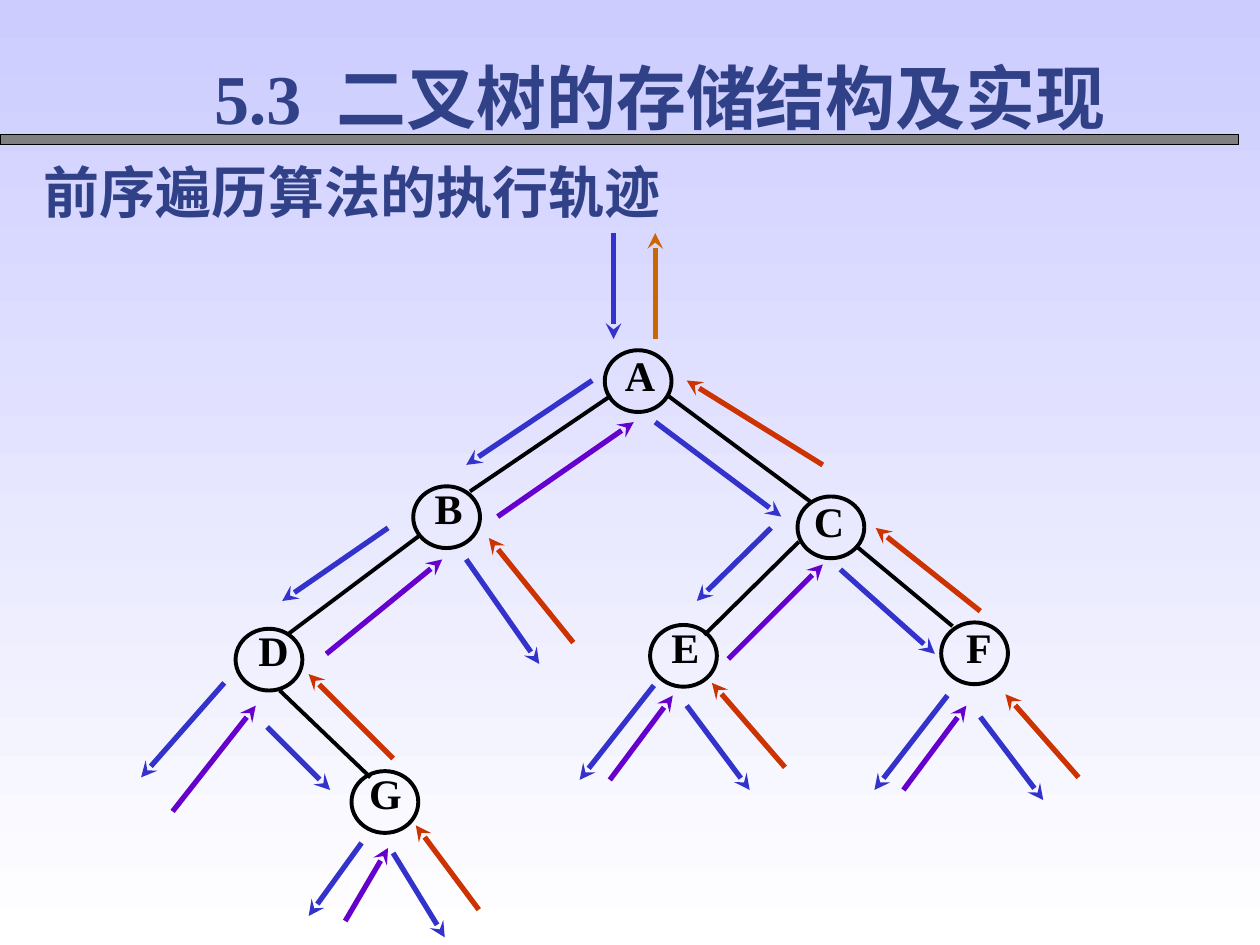
"""Build a slide tracing a preorder traversal of a binary tree."""
from pptx import Presentation
from pptx.util import Inches, Pt
from pptx.dml.color import RGBColor
from pptx.enum import shapes, text
from pptx.oxml import ns
from lxml import etree

LATIN, CJK = "Times New Roman", "Noto Sans CJK SC"
BLACK, NAVY = "000000", "314187"
NODE_SIZE = (0.53, 0.49)
LABEL_SIZE = (0.44, 0.58)

HEADINGS = [
    ((1.6, 0.38, 7.71, 0.77), 40,
     [("5.3", LATIN, 0), (" ", LATIN, 10), ("二叉树的存储结构及实现", LATIN, 0)]),
    ((0.25, 1.2, 5.58, 0.64), 32,
     [("前序遍历", CJK, 0), ("算法的执行轨迹", LATIN, 0)]),
]

NODES = {
    "A": ((4.8, 2.78), (4.86, 2.77)),
    "B": ((3.28, 3.86), (3.34, 3.83)),
    "C": ((6.33, 3.94), (6.36, 3.93)),
    "D": ((1.87, 4.99), (1.95, 4.96)),
    "E": ((5.16, 4.96), (5.22, 4.93)),
    "F": ((7.47, 4.94), (7.55, 4.93)),
    "G": ((2.79, 6.12), (2.84, 6.09)),
}

EDGES = [
    (4.85, 3.14, 3.73, 3.9), (5.3, 3.14, 6.43, 3.98),
    (3.33, 4.25, 2.29, 5.03), (2.22, 5.48, 2.94, 6.17),
    (6.34, 4.3, 5.59, 5.04), (6.79, 4.33, 7.56, 4.97),
]

CALL, LEFT_RETURN, RIGHT_RETURN, EXIT = "3333CC", "6600CC", "CC3300", "CC6600"
TRACE = {
    CALL: [
        (4.87, 1.85, 4.87, 2.69), (4.7, 3.02, 3.7, 3.69),
        (3.08, 4.19, 2.24, 4.77), (1.78, 5.42, 1.12, 6.17),
        (2.12, 5.77, 2.62, 6.27), (2.87, 6.69, 2.45, 7.27),
        (3.12, 6.77, 3.53, 7.44), (3.7, 4.44, 4.28, 5.27),
        (5.2, 3.35, 6.2, 4.1), (6.12, 4.19, 5.53, 4.77),
        (5.19, 5.44, 4.6, 6.19), (5.45, 5.6, 5.95, 6.27),
        (6.67, 4.52, 7.42, 5.19), (7.52, 5.52, 6.94, 6.27),
        (7.78, 5.69, 8.28, 6.35),
    ],
    LEFT_RETURN: [
        (1.37, 6.44, 2.03, 5.6), (2.74, 7.31, 3.08, 6.73),
        (2.59, 5.19, 3.51, 4.44), (3.95, 4.1, 5.03, 3.35),
        (4.84, 6.19, 5.34, 5.52), (5.78, 5.23, 6.53, 4.48),
        (7.17, 6.27, 7.67, 5.6),
    ],
    RIGHT_RETURN: [
        (3.8, 7.22, 3.3, 6.55), (3.12, 6.02, 2.45, 5.35),
        (4.55, 5.1, 3.88, 4.27), (6.23, 6.09, 5.65, 5.42),
        (8.56, 6.17, 7.98, 5.51), (7.78, 4.85, 6.95, 4.19),
        (6.53, 3.69, 5.45, 3.02),
    ],
    EXIT: [(5.2, 2.69, 5.2, 1.85)],
}


def color(value):
    return RGBColor.from_string(value)


def add_outline(page, preset, place, width, fill=None):
    shape = page.shapes.add_shape(preset, *map(Inches, place))
    shape.shadow.inherit = False
    if fill:
        shape.fill.solid()
        shape.fill.fore_color.rgb = color(fill)
    else:
        shape.fill.background()
    shape.line.color.rgb = color(BLACK)
    shape.line.width = Pt(width)


def add_line(page, ends, hue, width, arrow=False):
    line = page.shapes.add_connector(shapes.MSO_CONNECTOR.STRAIGHT, *map(Inches, ends))
    line.line.color.rgb = color(hue)
    line.line.width = Pt(width)
    if arrow:
        etree.SubElement(line.line._get_or_add_ln(), ns.qn("a:tailEnd"), type="stealth")
    etree.SubElement(line._element.spPr, ns.qn("a:effectLst"))


def add_text(page, place, size, hue, spans, margins, anchor, align):
    box = page.shapes.add_textbox(*map(Inches, place))
    frame = box.text_frame
    frame.word_wrap = True
    frame.vertical_anchor = anchor
    frame.margin_left = frame.margin_right = Inches(margins[0])
    frame.margin_top = frame.margin_bottom = Inches(margins[1])
    para = frame.paragraphs[0]
    para.alignment = align
    for words, face, spacing in spans:
        span = para.add_run()
        span.text = words
        span.font.size = Pt(size)
        span.font.bold = True
        span.font.name = face
        span.font.color.rgb = color(hue)
        props = span._r.get_or_add_rPr()
        etree.SubElement(props, ns.qn("a:ea"), typeface=CJK)
        if spacing:
            props.set("spc", str(spacing * 100))


def main():
    deck = Presentation()
    deck.slide_width, deck.slide_height = Inches(10), Inches(7.5)
    page = deck.slides.add_slide(deck.slide_layouts[6])
    backdrop = page.background.fill
    backdrop.gradient()
    backdrop.gradient_angle = 270
    for stop, hue in zip(backdrop.gradient_stops, ("CCCCFF", "FFFFFF")):
        stop.color.rgb = color(hue)

    add_outline(page, shapes.MSO_SHAPE.RECTANGLE, (0, 1.07, 9.83, 0.08), 0.75, "808080")
    for name, (circle, label) in NODES.items():
        add_text(page, label + LABEL_SIZE, 24, BLACK, [(name, LATIN, 0)], (0, 0),
                 text.MSO_ANCHOR.TOP, text.PP_ALIGN.CENTER)
        add_outline(page, shapes.MSO_SHAPE.OVAL, circle + NODE_SIZE, 2.25)
    for ends in EDGES:
        add_line(page, ends, BLACK, 2.25)
    for hue, arrows in TRACE.items():
        for ends in arrows:
            add_line(page, ends, hue, 3, arrow=True)
    for place, size, spans in HEADINGS:
        add_text(page, place, size, NAVY, spans, (0.1, 0.05),
                 text.MSO_ANCHOR.MIDDLE, text.PP_ALIGN.LEFT)
    deck.save("out.pptx")


if __name__ == "__main__":
    main()
